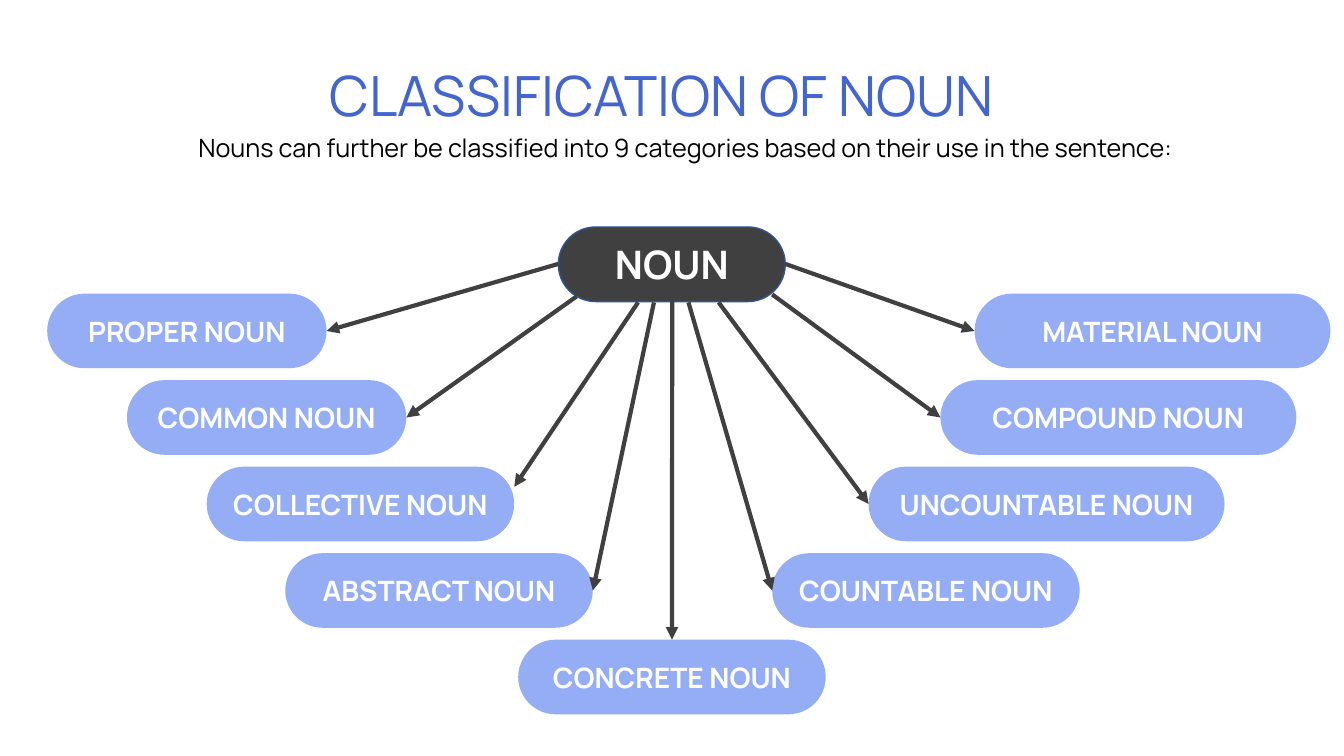
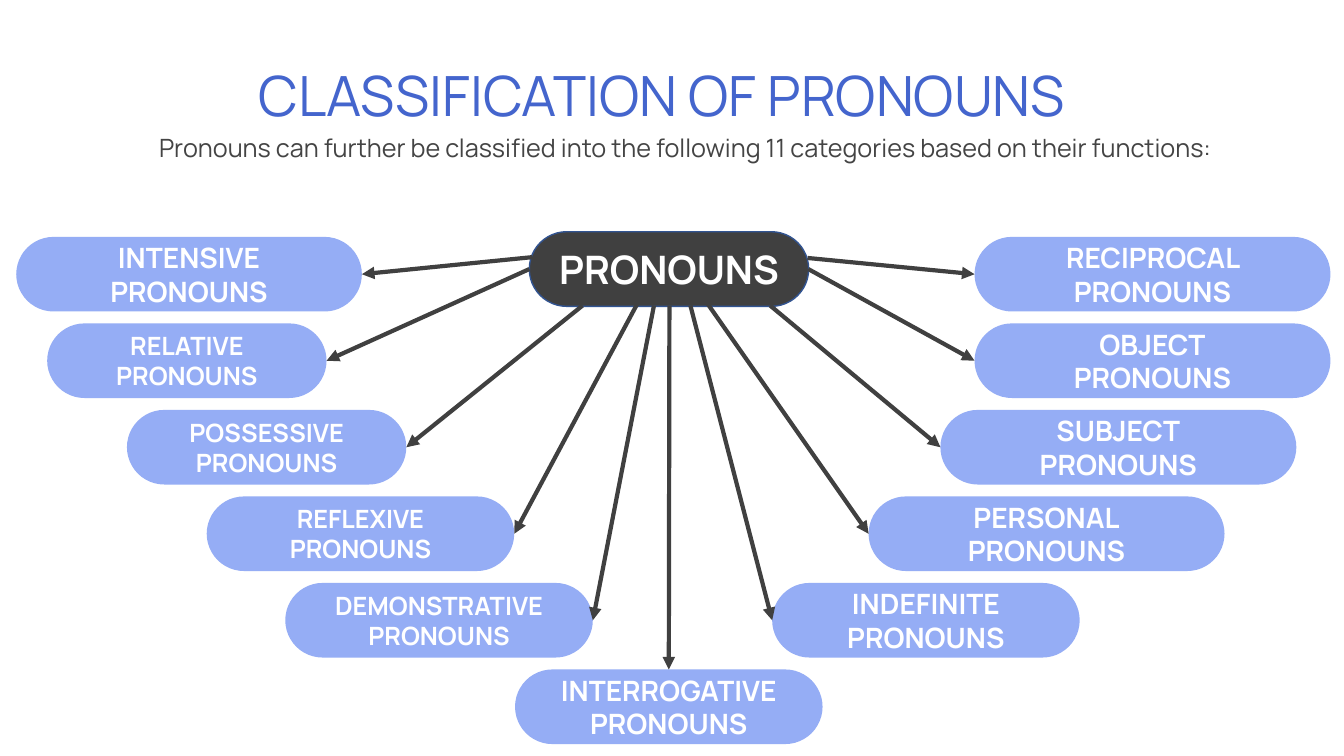
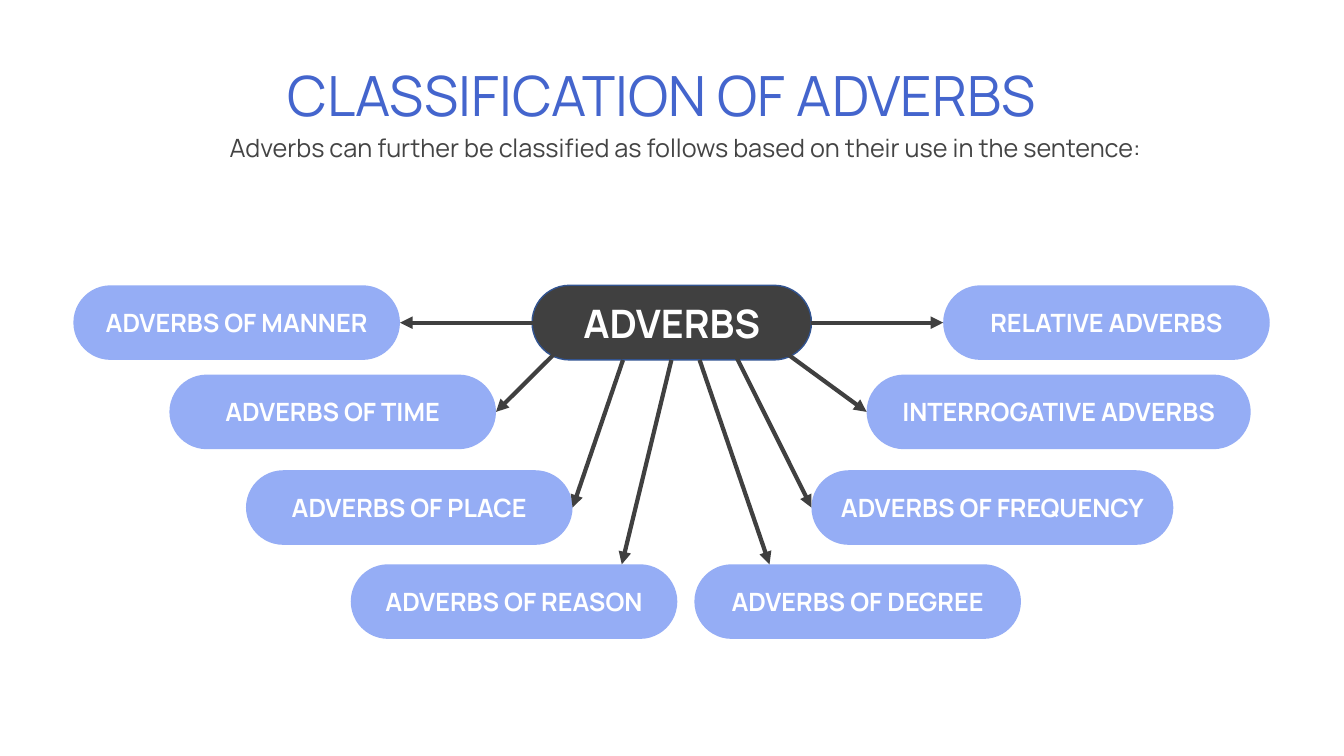
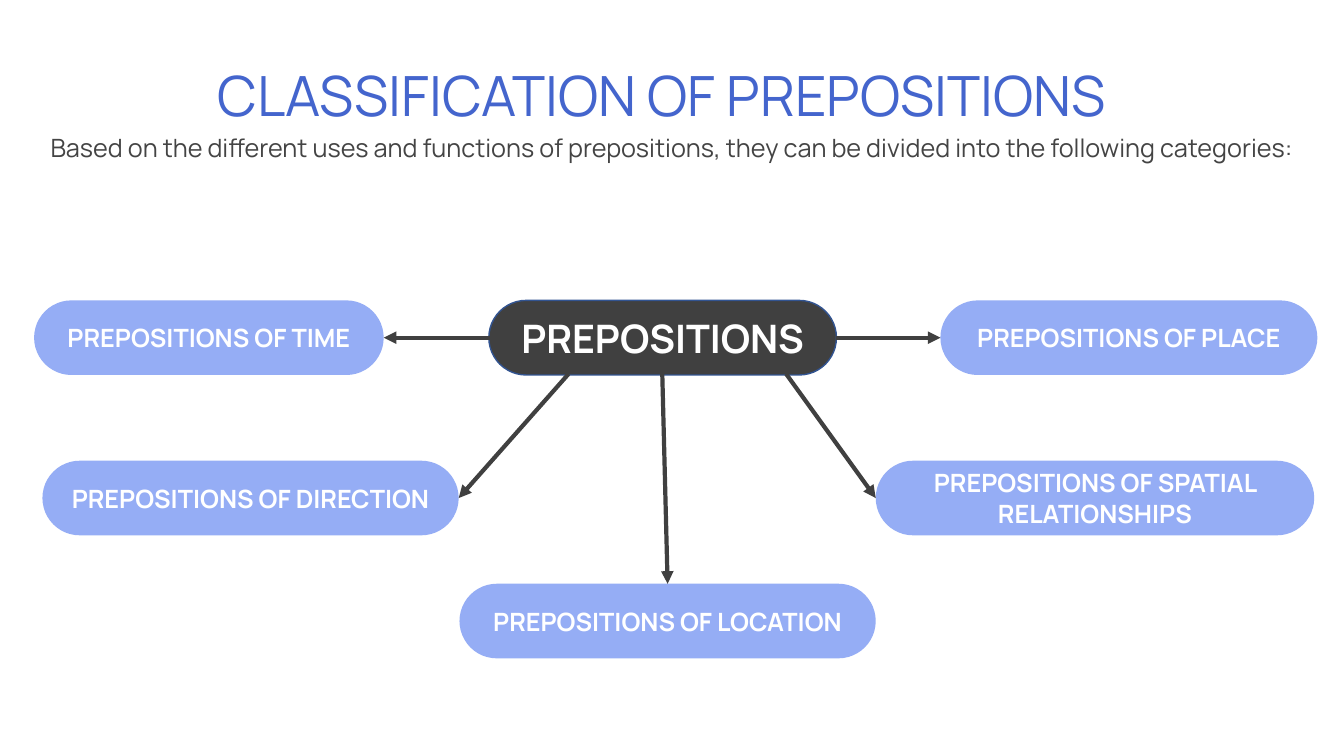
from lxml.etree import SubElement
from pptx import Presentation
from pptx.dml.color import RGBColor
from pptx.enum.shapes import MSO_CONNECTOR as Line, MSO_SHAPE as Shape
from pptx.enum.text import MSO_ANCHOR as Anchor, MSO_AUTO_SIZE as Fit, PP_ALIGN as Align
from pptx.oxml.ns import qn
from pptx.util import Cm, Pt

# Shared look
BLUE = RGBColor(0x44, 0x65, 0xCD)
PALE = RGBColor(0x95, 0xAD, 0xF5)
NAVY = RGBColor(0x32, 0x54, 0x91)
DARK = RGBColor(0x40, 0x40, 0x40)
GREY = RGBColor(0x44, 0x44, 0x44)
BLACK = RGBColor(0, 0, 0)
WHITE = RGBColor(0xFF, 0xFF, 0xFF)
FONT = "Manrope"
TALL = 1.88  # height of every pill, in cm
TITLE = dict(size=Pt(39.6), color=BLUE)
HUB = dict(size=Pt(28), color=WHITE, bold=True)

# Where an arrow meets its pill, as shares of width and height
LEFT, RIGHT, TOP = (0, 0.5), (1, 0.5), (0.5, 0)


def steps(first, count):
    """Evenly spaced tops of the pill rows."""
    return [first + 2.18 * i for i in range(count)]


def fan(row, mid, notch=RIGHT):
    """Nine pills fanned out below a hub: left, row, width, arrow end."""
    return [
        (1.19, row, 7.04, RIGHT),
        (3.2, row + 1, 7.04, RIGHT),
        (5.21, row + 2, 7.75, notch),
        (7.19, row + 3, 7.75, RIGHT),
        (mid, row + 4, 7.75, TOP),
        (19.46, row + 3, 7.75, LEFT),
        (21.89, row + 2, 8.97, LEFT),
        (23.7, row + 1, 8.97, LEFT),
        (24.56, row, 8.97, LEFT),
    ]


# Content: hub is text, left, top, width; items are text, size, arrow start
SLIDES = [
    dict(
        title="CLASSIFICATION OF NOUN",
        lead="Nouns can further be classified into 9 categories based on their use in the sentence:",
        span=(1.52, 31.5), tint=BLACK,
        hub=("NOUN", 14.07, 5.72, 5.72),
        rows=steps(7.4, 5),
        boxes=fan(0, 13.06, (1, 0.27)),
        items=[
            ("PROPER NOUN", 20, 14.07, 6.65),
            ("COMMON NOUN", 20, 14.53, 7.47),
            ("COLLECTIVE NOUN", 20, 16.08, 7.62),
            ("ABSTRACT NOUN", 20, 16.48, 7.62),
            ("CONCRETE NOUN", 20, 16.94, 7.59),
            ("COUNTABLE NOUN", 20, 17.35, 7.62),
            ("UNCOUNTABLE NOUN", 20, 18.11, 7.62),
            ("COMPOUND NOUN", 20, 19.46, 7.42),
            ("MATERIAL NOUN", 20, 19.79, 6.65),
        ],
    ),
    dict(
        title="CLASSIFICATION OF PRONOUNS",
        lead="Pronouns can further be classified into the following 11 categories based on their functions:",
        span=(1.52, 31.5), tint=GREY,
        hub=("PRONOUNS", 13.34, 5.84, 7.04),
        rows=steps(5.97, 6),
        boxes=[(0.41, 0, 8.71, RIGHT), *fan(1, 12.98), (24.56, 0, 8.97, LEFT)],
        items=[
            ("INTENSIVE\nPRONOUNS", 20, 13.41, 6.48),
            ("RELATIVE PRONOUNS", 18, 13.34, 6.78),
            ("POSSESSIVE PRONOUNS", 18, 14.68, 7.7),
            ("REFLEXIVE PRONOUNS", 18, 16.08, 7.62),
            ("DEMONSTRATIVE PRONOUNS", 18, 16.48, 7.7),
            ("INTERROGATIVE PRONOUNS", 20, 16.87, 7.7),
            ("INDEFINITE PRONOUNS", 20, 17.4, 7.7),
            ("PERSONAL\nPRONOUNS", 20, 17.83, 7.65),
            ("SUBJECT\nPRONOUNS", 20, 19.41, 7.7),
            ("OBJECT\nPRONOUNS", 20, 20.37, 6.78),
            ("RECIPROCAL PRONOUNS", 20, 20.35, 6.5),
        ],
    ),
    dict(
        title="CLASSIFICATION OF ADVERBS",
        lead="Adverbs can further be classified as follows based on their use in the sentence:",
        span=(1.52, 31.5), tint=GREY,
        hub=("ADVERBS", 13.41, 7.19, 7.04),
        rows=[7.19, 9.44, 11.85, 14.22],
        boxes=[
            (1.85, 0, 8.23, RIGHT),
            (4.27, 1, 8.23, RIGHT),
            (6.2, 2, 8.23, RIGHT),
            (8.84, 3, 8.23, (0.83, 0)),
            (17.5, 3, 8.23, (0.23, 0)),
            (20.45, 2, 9.12, LEFT),
            (21.84, 1, 9.68, LEFT),
            (23.77, 0, 8.23, LEFT),
        ],
        items=[
            ("ADVERBS OF MANNER", 18, 13.51, 8.13),
            ("ADVERBS OF TIME", 18, 14.25, 8.64),
            ("ADVERBS OF PLACE", 18, 15.7, 9.07),
            ("ADVERBS OF REASON", 18, 16.92, 9.07),
            ("ADVERBS OF DEGREE", 18, 17.63, 9.07),
            ("ADVERBS OF FREQUENCY", 18, 18.57, 9.02),
            ("INTERROGATIVE ADVERBS", 18, 19.76, 8.86),
            ("RELATIVE ADVERBS", 18, 20.45, 8.13),
        ],
    ),
    dict(
        title="CLASSIFICATION OF PREPOSITIONS",
        lead="Based on the different uses and functions of prepositions, they can be divided into the following categories:",
        span=(0, 33.86), tint=GREY,
        hub=("PREPOSITIONS", 12.32, 7.57, 8.76),
        rows=[7.57, 11.61, 14.71],
        boxes=[
            (0.86, 0, 8.81, RIGHT),
            (1.07, 1, 10.49, RIGHT),
            (11.58, 2, 10.49, TOP),
            (22.07, 1, 11.05, LEFT),
            (23.7, 0, 9.5, LEFT),
        ],
        items=[
            ("PREPOSITIONS OF TIME", 18, 13.11, 8.51),
            ("PREPOSITIONS OF DIRECTION", 18, 14.33, 9.42),
            ("PREPOSITIONS OF LOCATION", 18, 16.69, 9.42),
            ("PREPOSITIONS OF SPATIAL RELATIONSHIPS", 18, 19.81, 9.42),
            ("PREPOSITIONS OF PLACE", 18, 21.08, 8.51),
        ],
    ),
]


def write(frame, text, look, **form):
    """Fill a text frame with centred text, one paragraph a line."""
    frame.word_wrap = True
    frame.text = text
    for para in frame.paragraphs:
        for key, val in dict(alignment=Align.CENTER, **form).items():
            setattr(para, key, val)
        font = para.runs[0].font
        font.name = FONT
        for key, val in look.items():
            if key == "color":
                font.color.rgb = val
            else:
                setattr(font, key, val)


def head(slide, title, lead, span, tint):
    box = slide.shapes.title
    box.left, box.top, box.width, box.height = Cm(1.85), Cm(1.55), Cm(29.67), Cm(TALL)
    box.text_frame.vertical_anchor = Anchor.MIDDLE
    box.text_frame.auto_size = Fit.NONE
    write(box.text_frame, title, TITLE, line_spacing=0.9)
    left, wide = span
    box = slide.shapes.add_textbox(Cm(left), Cm(3.15), Cm(wide), Cm(1.04))
    write(box.text_frame, lead, dict(size=Pt(18), color=tint),
          line_spacing=1.07, space_after=Pt(8))
    box.text_frame.auto_size = Fit.SHAPE_TO_FIT_TEXT


def pill(slide, text, left, top, wide, look, fill, edge=None):
    box = slide.shapes.add_shape(Shape.ROUNDED_RECTANGLE, Cm(left), Cm(top), Cm(wide), Cm(TALL))
    box.adjustments[0] = 0.5
    box.shadow.inherit = False
    box.fill.solid()
    box.fill.fore_color.rgb = fill
    if edge:
        box.line.color.rgb = edge
        box.line.width = Pt(1)
    else:
        box.line.fill.background()
    box.text_frame.vertical_anchor = Anchor.MIDDLE
    write(box.text_frame, text, look)


def arrow(slide, *ends):
    link = slide.shapes.add_connector(Line.STRAIGHT, *map(Cm, ends))
    link.line.color.rgb = DARK
    link.line.width = Pt(3)
    SubElement(link.line._get_or_add_ln(), qn("a:tailEnd"), type="triangle")
    SubElement(link._element.spPr, qn("a:effectLst"))


def main():
    deck = Presentation()
    deck.slide_width, deck.slide_height = Cm(33.87), Cm(19.05)
    for data in SLIDES:
        slide = deck.slides.add_slide(deck.slide_layouts[5])
        head(slide, data["title"], data["lead"], data["span"], data["tint"])
        pill(slide, *data["hub"], HUB, DARK, NAVY)
        # Each kind gets its pill and an arrow from the hub
        for (text, size, x, y), (left, row, wide, end) in zip(data["items"], data["boxes"]):
            top = data["rows"][row]
            look = dict(size=Pt(size), color=WHITE, bold=True)
            pill(slide, text, left, top, wide, look, PALE)
            arrow(slide, x, y, left + end[0] * wide, top + end[1] * TALL)
    deck.save("out.pptx")


if __name__ == "__main__":
    main()
